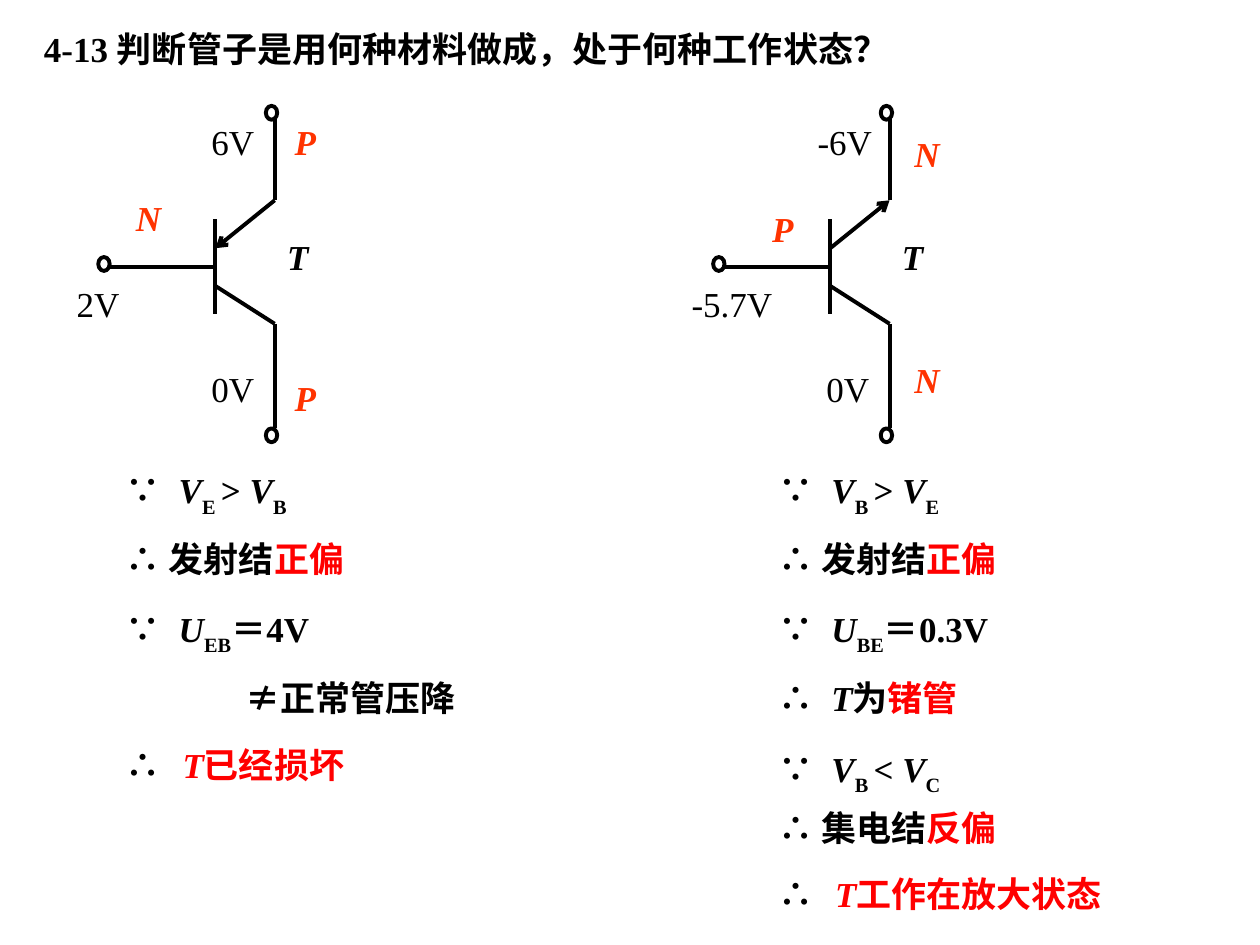
from dataclasses import dataclass

from lxml import etree
from pptx import Presentation
from pptx.dml.color import RGBColor
from pptx.enum.shapes import MSO_CONNECTOR, MSO_SHAPE
from pptx.enum.text import MSO_ANCHOR, PP_ALIGN
from pptx.oxml.ns import qn
from pptx.util import Inches, Pt

LINE = MSO_CONNECTOR.STRAIGHT
OVAL = MSO_SHAPE.OVAL
TOP = MSO_ANCHOR.TOP
LEFT, JUSTIFY = PP_ALIGN.LEFT, PP_ALIGN.JUSTIFY
ROMAN, HAN = "Times New Roman", "Noto Sans CJK SC"
COLORS = {"ink": "000000", "paper": "FFFFFF", "type": "FF3300", "key": "FF0000"}


@dataclass(frozen=True)
class Run:
    text: str
    color: str = "ink"
    bold: bool = True
    slant: bool = False
    font: str = ROMAN
    size: int = 20
    sub: bool = False


@dataclass(frozen=True)
class Label:
    x: float
    y: float
    w: float
    run: Run


@dataclass(frozen=True)
class Step:
    y: float
    runs: list[Run]
    tab: float = 0.42
    x: float = 0
    w: float = 3.75
    h: float = 0.44


@dataclass(frozen=True)
class Circuit:
    x: float
    npn: bool
    labels: list[Label]
    proof_x: float
    steps: list[Step]


def rgb(name: str) -> RGBColor:
    return RGBColor.from_string(COLORS[name])


def add_text(shapes, x: float, y: float, w: float, h: float, runs: list[Run],
             tab: float = 0, align=LEFT) -> None:
    box = shapes.add_textbox(Inches(x), Inches(y), Inches(w), Inches(h))
    frame = box.text_frame
    frame.word_wrap = True
    frame.vertical_anchor = TOP
    para = frame.paragraphs[0]
    para.alignment = align
    if tab:
        stops = etree.SubElement(para._p.get_or_add_pPr(), qn("a:tabLst"))
        etree.SubElement(stops, qn("a:tab"), pos=str(Inches(tab)), algn="l")
    for item in runs:
        run = para.add_run()
        run.text = item.text
        font = run.font
        font.name, font.size = item.font, Pt(item.size)
        font.bold, font.italic = item.bold, item.slant
        font.color.rgb = rgb(item.color)
        props = font._element
        etree.SubElement(props, qn("a:ea"), typeface=HAN)
        if item.sub:
            props.set("baseline", "-30000")


def add_line(shapes, x1: float, y1: float, x2: float, y2: float, arrow: str = "") -> None:
    """Draw a wire; arrow is headEnd, tailEnd or empty."""
    wire = shapes.add_connector(LINE, Inches(x1), Inches(y1), Inches(x2), Inches(y2))
    wire.line.width = Pt(2.25)
    wire.line.color.rgb = rgb("ink")
    if arrow:
        etree.SubElement(wire.line._get_or_add_ln(), qn(f"a:{arrow}"), type="arrow")
    etree.SubElement(wire._element.spPr, qn("a:effectLst"))


def add_node(shapes, x: float, y: float) -> None:
    node = shapes.add_shape(OVAL, Inches(x), Inches(y), Inches(0.09), Inches(0.11))
    node.shadow.inherit = False
    node.fill.solid()
    node.fill.fore_color.rgb = rgb("paper")
    node.line.width = Pt(2.25)
    node.line.color.rgb = rgb("ink")


WIRES = [
    (0.07, 2.12, 0.93, 2.12),
    (0.93, 1.74, 0.93, 2.49),
    (0.93, 2.27, 1.40, 2.57),
    (1.40, 1.59, 1.40, 0.91),
    (1.40, 2.57, 1.40, 3.40),
]
NODES = [(0, 2.04), (1.33, 3.40), (1.33, 0.84)]


def add_circuit(shapes, part: Circuit) -> None:
    for x1, y1, x2, y2 in WIRES:
        add_line(shapes, part.x + x1, y1, part.x + x2, y2)
    end = "tailEnd" if part.npn else "headEnd"
    add_line(shapes, part.x + 0.93, 1.97, part.x + 1.40, 1.59, end)
    for x, y in NODES:
        add_node(shapes, part.x + x, y)
    for tag in part.labels:
        add_text(shapes, part.x + tag.x, tag.y, tag.w, 0.44, [tag.run])
    for step in part.steps:
        add_text(shapes, part.proof_x + step.x, step.y, step.w, step.h, step.runs, step.tab)


def volt(text: str, x: float, y: float) -> Label:
    return Label(x, y, 1.07, Run(text, bold=False))


def kind(text: str, x: float, y: float) -> Label:
    return Label(x, y, 0.53, Run(text, "type", slant=True))


def sign(text: str) -> Run:
    return Run(text, font=HAN)


def compare(y: float, left: str, mark: str, right: str) -> Step:
    return Step(y, [sign("∵\t"), Run("V", slant=True), Run(left + " ", sub=True),
                    Run(mark + " "), Run("V", slant=True), Run(right, sub=True)], h=0.5)


def drop(sub: str, value: str) -> Step:
    return Step(4.77, [sign("∵\t"), Run("U", slant=True), Run(sub, sub=True),
                       sign("＝"), Run(value)], h=0.5)


def bias(y: float, name: str, state: str) -> Step:
    return Step(y, [sign("∴ "), Run(name), Run(state, "key")], w=3.92)


def result(y: float, text: str) -> Step:
    return Step(y, [sign("∴"), Run("\t", "key", slant=True, size=24),
                    Run("T", "key", slant=True), Run(text, "key")], tab=0.45, w=3.92, h=0.5)


NAME = Label(1.40, 1.82, 0.67, Run("T", slant=True))
PARTS = [
    Circuit(0.78, False, [
        NAME, volt("6V", 0.80, 0.91), volt("2V", -0.27, 2.19), volt("0V", 0.80, 2.87),
        kind("P", 1.46, 0.91), kind("P", 1.46, 2.94), kind("N", 0.20, 1.51),
    ], 0.9, [
        compare(3.67, "E", ">", "B"),
        bias(4.22, "发射结", "正偏"),
        drop("EB", "4V"),
        Step(5.32, [sign("≠正常管压降")], x=0.95, w=2.52),
        result(5.80, "已经损坏"),
    ]),
    Circuit(5.66, True, [
        NAME, volt("-6V", 0.73, 0.91), volt("-5.7V", -0.27, 2.19), volt("0V", 0.80, 2.87),
        kind("N", 1.50, 1.00), kind("N", 1.50, 2.80), kind("P", 0.37, 1.60),
    ], 6.08, [
        compare(3.67, "B", ">", "E"),
        bias(4.22, "发射结", "正偏"),
        drop("BE", "0.3V"),
        Step(5.32, [sign("∴\t"), Run("T", slant=True), Run("为"), Run("锗管", "key")]),
        compare(5.88, "B", "<", "C"),
        bias(6.35, "集电结", "反偏"),
        result(6.82, "工作在放大状态"),
    ]),
]


def main() -> None:
    deck = Presentation()
    deck.slide_width, deck.slide_height = Inches(10), Inches(7.5)
    shapes = deck.slides.add_slide(deck.slide_layouts[6]).shapes
    title = Run("4-13 判断管子是用何种材料做成，处于何种工作状态？")
    add_text(shapes, 0.25, 0.17, 7.75, 0.44, [title], align=JUSTIFY)
    for part in PARTS:
        add_circuit(shapes, part)
    deck.save("out.pptx")


if __name__ == "__main__":
    main()
